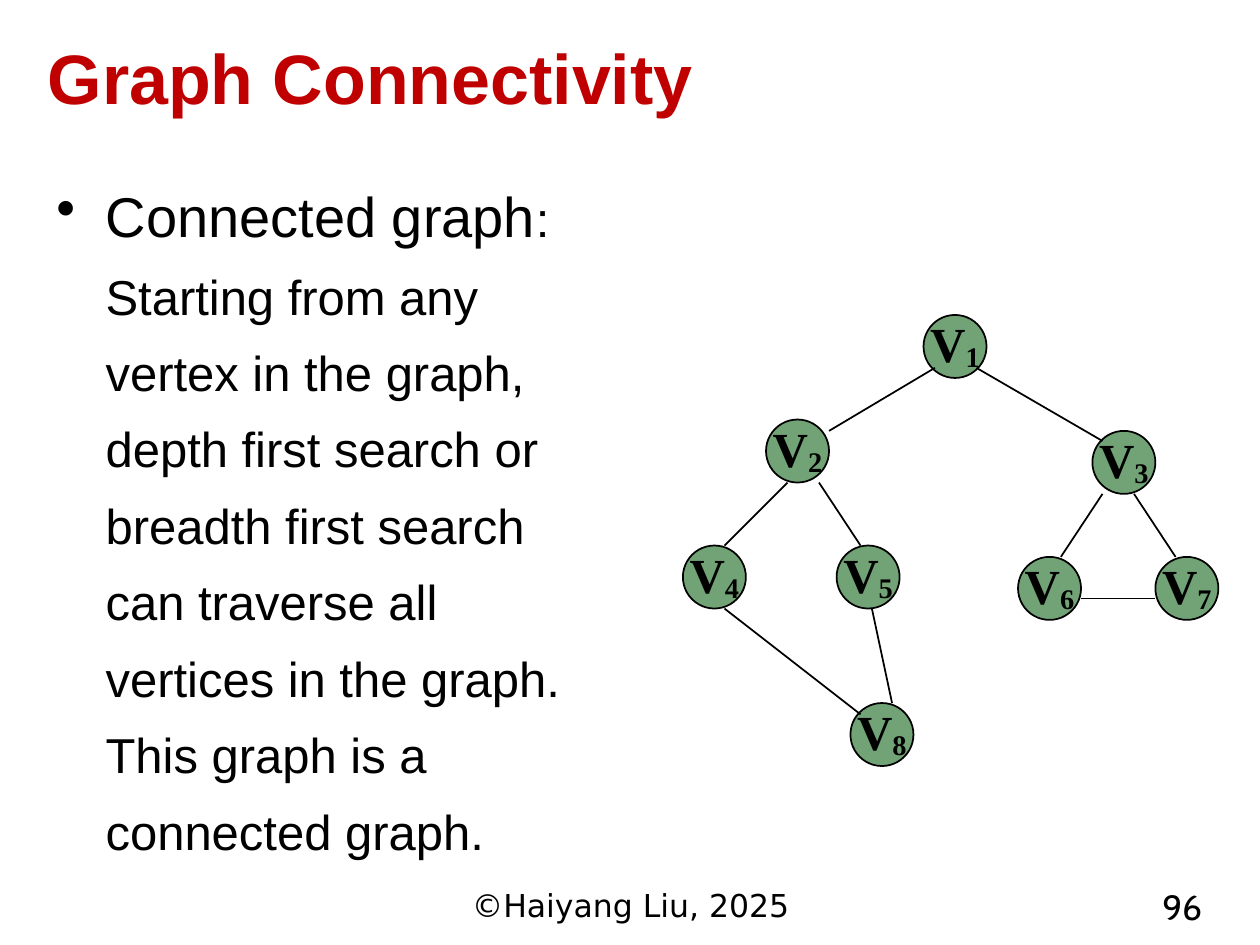
import pptx
import pptx.util
import pptx.dml.color
import pptx.enum.shapes
import pptx.enum.text
import pptx.oxml
from pptx.oxml.ns import qn
from pptx.util import Inches, Pt

RGBColor = pptx.dml.color.RGBColor
MSO_ANCHOR = pptx.enum.text.MSO_ANCHOR
PP_ALIGN = pptx.enum.text.PP_ALIGN

RED = RGBColor(0xC0, 0x00, 0x00)
BLACK = RGBColor(0x00, 0x00, 0x00)
GREEN = RGBColor(0x72, 0xA3, 0x76)

NODE_SIZE = 0.5
# Vertex number: left, top
VERTICES = {
    1: (7.33, 2.5),
    2: (6.08, 3.33),
    3: (8.67, 3.42),
    4: (5.42, 4.33),
    5: (6.64, 4.33),
    6: (8.08, 4.42),
    7: (9.17, 4.42),
    8: (6.75, 5.58),
}
# Start x, y and end x, y
EDGES = [
    (7.42, 2.92, 6.58, 3.42),
    (7.75, 2.92, 8.75, 3.5),
    (6.25, 3.83, 5.75, 4.33),
    (6.5, 3.83, 6.83, 4.33),
    (5.75, 4.83, 6.83, 5.67),
    (6.92, 4.83, 7.08, 5.58),
    (8.75, 3.92, 8.42, 4.42),
    (9, 3.92, 9.33, 4.42),
    (8.58, 4.75, 9.17, 4.75),
]


class GraphSlide:
    def __init__(self, s):
        self.s = s
        self.line_width = Pt(1)

    def run(self, p, text, size, font="Arial", color=BLACK, bold=False):
        r = p.add_run()
        r.text = text
        r.font.name = font
        r.font.size = Pt(size)
        r.font.bold = bold
        r.font.color.rgb = color
        return r

    def text(self, box, runs, align=PP_ALIGN.LEFT, anchor=MSO_ANCHOR.TOP):
        """Add a one-paragraph text box; each run is a tuple of run() arguments."""
        tf = self.s.shapes.add_textbox(*map(Inches, box)).text_frame
        tf.word_wrap = True
        tf.vertical_anchor = anchor
        p = tf.paragraphs[0]
        p.alignment = align
        for values in runs:
            self.run(p, *values)
        return p

    def bullet(self, box, runs):
        p = self.text(box, runs)
        p.line_spacing = 1.3
        p.space_after = Pt(6)
        pPr = p._p.get_or_add_pPr()
        pPr.set("marL", str(Inches(0.39)))
        pPr.set("indent", str(Inches(-0.39)))
        bu = pptx.oxml.xmlchemy.OxmlElement("a:buChar")
        bu.set("char", "•")
        pPr.append(bu)

    def vertex(self, number, left, top):
        sp = self.s.shapes.add_shape(
            pptx.enum.shapes.MSO_SHAPE.OVAL,
            Inches(left), Inches(top), Inches(NODE_SIZE), Inches(NODE_SIZE))
        sp.shadow.inherit = False
        sp.fill.solid()
        sp.fill.fore_color.rgb = GREEN
        sp.line.color.rgb = BLACK
        sp.line.width = self.line_width
        tf = sp.text_frame
        tf.word_wrap = False
        tf.vertical_anchor = MSO_ANCHOR.MIDDLE
        tf.margin_left = tf.margin_right = Inches(0.1)
        tf.margin_top, tf.margin_bottom = 0, Inches(0.05)
        p = tf.paragraphs[0]
        p.alignment = PP_ALIGN.CENTER
        self.run(p, "V", 28, "Times New Roman", bold=True)
        r = self.run(p, str(number), 28, "Times New Roman", bold=True)
        r.font._element.set("baseline", "-10000")

    def edge(self, *ends):
        line = self.s.shapes.add_connector(
            pptx.enum.shapes.MSO_CONNECTOR.STRAIGHT, *map(Inches, ends))
        line.line.color.rgb = BLACK
        line.line.width = self.line_width
        line._element.find(qn("p:spPr")).append(
            pptx.oxml.xmlchemy.OxmlElement("a:effectLst"))


def main():
    prs = pptx.Presentation()
    prs.slide_width, prs.slide_height = Inches(10), Inches(7.5)
    slide = GraphSlide(prs.slides.add_slide(prs.slide_layouts[6]))

    slide.text((0.28, 0.21, 7.87, 0.79),
               [("Graph Connectivity", 40, "Arial", RED, True)],
               anchor=MSO_ANCHOR.MIDDLE)
    slide.bullet((0.35, 1.23, 4.57, 5.67), [
        ("Connected graph", 32),
        (": Starting from any vertex in the graph, depth first search or "
         "breadth first search can traverse all vertices in the graph. "
         "This graph is a connected graph.", 28),
    ])
    for number, place in VERTICES.items():
        slide.vertex(number, *place)
    for ends in EDGES:
        slide.edge(*ends)
    slide.text((3.42, 6.98, 3.17, 0.39),
               [("©Haiyang Liu, 2025", 18, "DejaVu Sans")], PP_ALIGN.CENTER)
    slide.text((8.11, 6.98, 1.53, 0.39), [("96", 20, "Cabin")], PP_ALIGN.RIGHT)

    prs.save("out.pptx")


if __name__ == "__main__":
    main()
